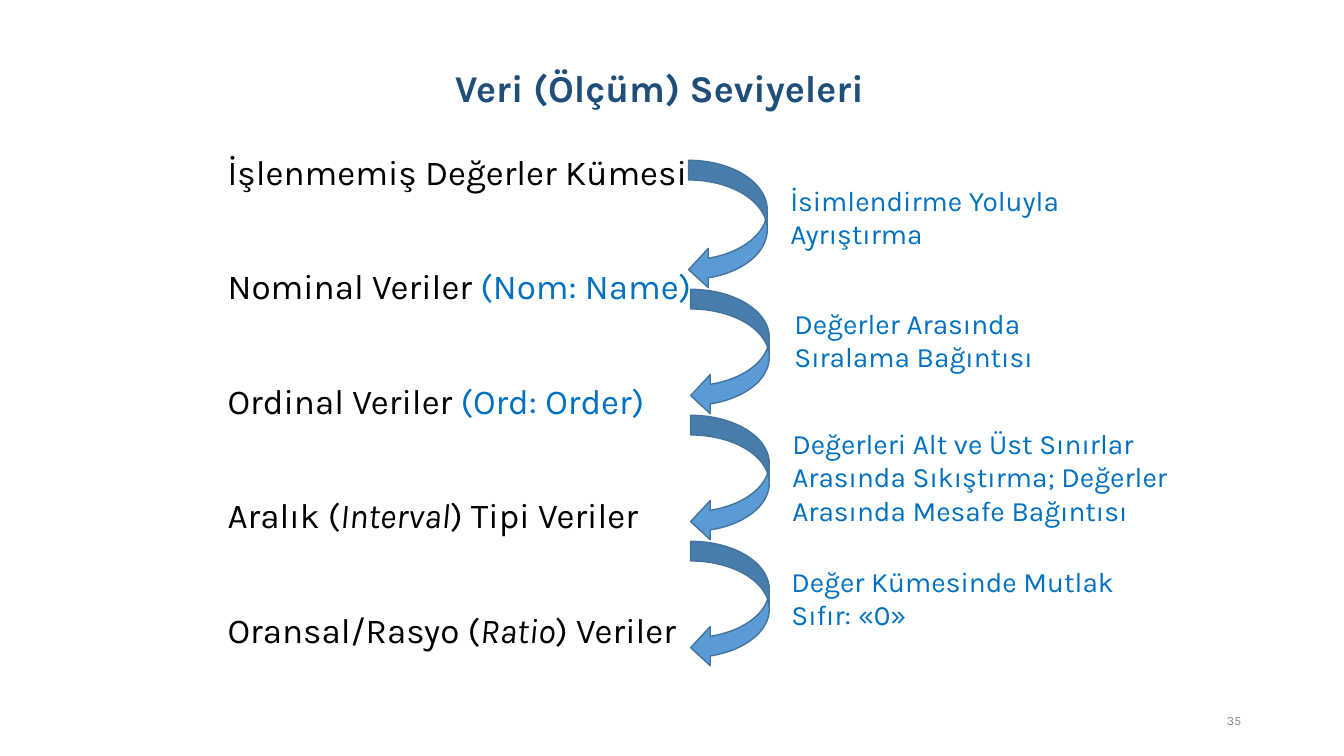
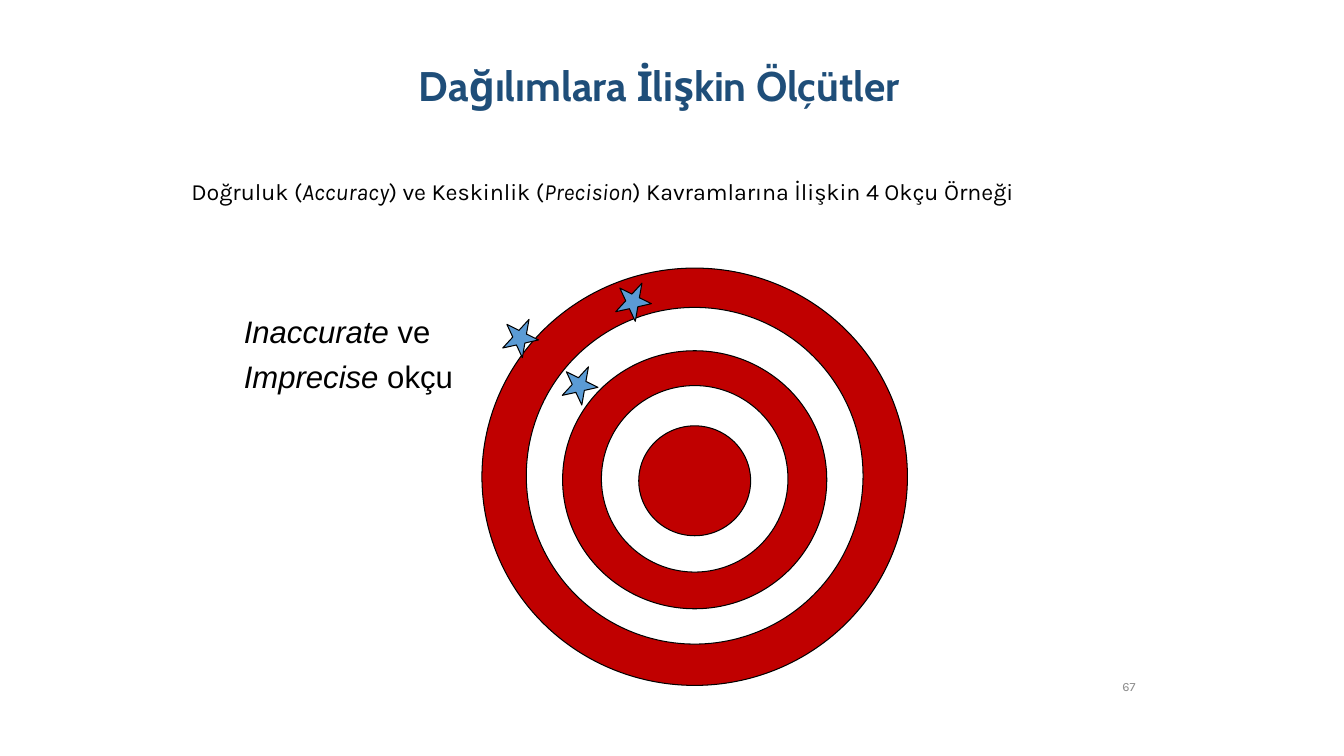
from pptx import Presentation
from pptx.dml.color import RGBColor
from pptx.enum.shapes import MSO_SHAPE
from pptx.enum.text import MSO_ANCHOR, PP_ALIGN
from pptx.util import Inches, Pt

NAVY = RGBColor(0x1F, 0x4E, 0x79)
BLUE = RGBColor(0x00, 0x70, 0xC0)
SKY = RGBColor(0x5B, 0x9B, 0xD5)
STEEL = RGBColor(0x43, 0x73, 0x9E)
RED = RGBColor(0xC0, 0x00, 0x00)
GREY = RGBColor(0x8C, 0x8C, 0x8C)
BLACK = RGBColor(0x00, 0x00, 0x00)
WHITE = RGBColor(0xFF, 0xFF, 0xFF)

ARROW, ELLIPSE, STAR = MSO_SHAPE.CURVED_LEFT_ARROW, MSO_SHAPE.OVAL, MSO_SHAPE.STAR_5_POINT
TOP, MIDDLE, BOTTOM = MSO_ANCHOR.TOP, MSO_ANCHOR.MIDDLE, MSO_ANCHOR.BOTTOM
LEFT, CENTER, RIGHT, JUSTIFY = PP_ALIGN.LEFT, PP_ALIGN.CENTER, PP_ALIGN.RIGHT, PP_ALIGN.JUSTIFY

TITLE_BOX = (0.66, 0, 11.76, 1.14)

# A paragraph is a list of runs: (text, style), style being "", "italic" or "blue".
LEVELS = [
    [("İşlenmemiş Değerler Kümesi", "")],
    [("Nominal Veriler ", ""), ("(Nom: Name)", "blue")],
    [("Ordinal Veriler ", ""), ("(Ord: Order)", "blue")],
    [("Aralık (", ""), ("Interval", "italic"), (") Tipi Veriler", "")],
    [("Oransal/Rasyo (", ""), ("Ratio", "italic"), (") Veriler", "")],
]
LEVEL_GAP = 48.8

# Each step: arrow left, arrow height, note box, note text
STEPS = [
    (6.83, 1.28, (7.74, 1.77, 3.12, 0.77), "İsimlendirme Yoluyla Ayrıştırma"),
    (6.85, 1.25, (7.78, 2.99, 3.12, 0.77), "Değerler Arasında Sıralama Bağıntısı"),
    (6.85, 1.25, (7.76, 4.18, 3.98, 1.11),
     "Değerleri Alt ve Üst Sınırlar Arasında Sıkıştırma; Değerler Arasında Mesafe Bağıntısı"),
    (6.85, 1.25, (7.75, 5.55, 3.41, 0.77), "Değer Kümesinde Mutlak Sıfır: «0»"),
]
ARROWS_TOP, ARROW_WIDTH = 1.59, 0.78

ARCHER_INTRO = [
    [("Doğruluk (", ""), ("Accuracy", "italic"), (") ve Keskinlik (", ""),
     ("Precision", "italic"), (") Kavramlarına İlişkin 4 Okçu Örneği", "")],
]
ARCHER_LABEL = [
    [("Inaccurate ", "italic"), ("ve", "")],
    [("Imprecise", "italic"), (" okçu", "")],
]
TARGET_X = 6.89
# Each ring, outermost first: centre height on the slide, width, height
RINGS = [
    (4.73, 4.22, 4.14),
    (4.72, 3.34, 3.34),
    (4.76, 2.62, 2.56),
    (4.75, 1.85, 1.85),
    (4.77, 1.11, 1.09),
]
HITS = [(5.58, 3.62), (4.99, 3.15), (6.11, 2.79)]
HIT_SIZE, HIT_ROTATION = (0.35, 0.37), 26.2


def add_text(slide, box, paragraphs, size, font="Karla", color=BLACK, bold=False,
             align=LEFT, anchor=TOP, gap=0, line_spacing=None):
    """Add a text box; gap is the space in points between paragraphs."""
    frame = slide.shapes.add_textbox(*map(Inches, box)).text_frame
    frame.word_wrap = True
    frame.vertical_anchor = anchor
    for index, runs in enumerate(paragraphs):
        paragraph = frame.add_paragraph() if index else frame.paragraphs[0]
        paragraph.alignment = align
        paragraph.line_spacing = line_spacing
        paragraph.space_before = Pt(gap if index else 0)
        paragraph.font.name = font
        paragraph.font.size = Pt(size)
        paragraph.font.bold = bold
        paragraph.font.color.rgb = color
        for text, style in runs:
            run = paragraph.add_run()
            run.text = text
            if style == "italic":
                run.font.italic = True
            elif style == "blue":
                run.font.color.rgb = BLUE


def add_figure(shapes, preset, box, fill, line, line_width=0.75):
    shape = shapes.add_shape(preset, *map(Inches, box))
    shape.shadow.inherit = False
    shape.fill.solid()
    shape.fill.fore_color.rgb = fill
    shape.line.color.rgb = line
    shape.line.width = Pt(line_width)
    return shape


def add_titled_slide(presentation, title, title_font, title_size, number, number_box):
    slide = presentation.slides.add_slide(presentation.slide_layouts[6])
    add_text(slide, TITLE_BOX, [[(title, "")]], title_size, title_font, NAVY,
             bold=True, align=CENTER, anchor=BOTTOM)
    add_text(slide, number_box, [[(number, "")]], 9, color=GREY, align=RIGHT, anchor=MIDDLE)
    return slide


def build_levels_slide(presentation):
    slide = add_titled_slide(presentation, "Veri (Ölçüm) Seviyeleri", "Karla", 27,
                             "35", (8.83, 6.95, 3.58, 0.4))
    add_text(slide, (2.16, 1.4, 9.13, 5.35), LEVELS, 25, gap=LEVEL_GAP, line_spacing=1.1)
    top = ARROWS_TOP
    for left, height, note_box, note in STEPS:
        add_figure(slide.shapes, ARROW, (left, top, ARROW_WIDTH, height), SKY, STEEL, 1)
        add_text(slide, note_box, [[(note, "")]], 20, color=BLUE)
        top += height


def build_archer_slide(presentation):
    slide = add_titled_slide(presentation, "Dağılımlara İlişkin Ölçütler", "Cabin", 29.5,
                             "67", (9.28, 6.58, 2.08, 0.46))
    add_text(slide, (1.8, 1.71, 9.65, 0.94), ARCHER_INTRO, 16.6)
    target = slide.shapes.add_group_shape()
    for index, (middle, width, height) in enumerate(RINGS):
        box = (TARGET_X - width / 2, middle - height / 2, width, height)
        add_figure(target.shapes, ELLIPSE, box, WHITE if index % 2 else RED, BLACK)
    for position in HITS:
        star = add_figure(slide.shapes, STAR, position + HIT_SIZE, SKY, BLACK)
        star.rotation = HIT_ROTATION
    add_text(slide, (2.32, 3.05, 2.32, 1.17), ARCHER_LABEL, 22.2, "Arial",
             align=JUSTIFY, gap=5.2)


def main():
    presentation = Presentation()
    presentation.slide_width = Inches(13.33)
    presentation.slide_height = Inches(7.5)
    build_levels_slide(presentation)
    build_archer_slide(presentation)
    presentation.save("out.pptx")


if __name__ == "__main__":
    main()
